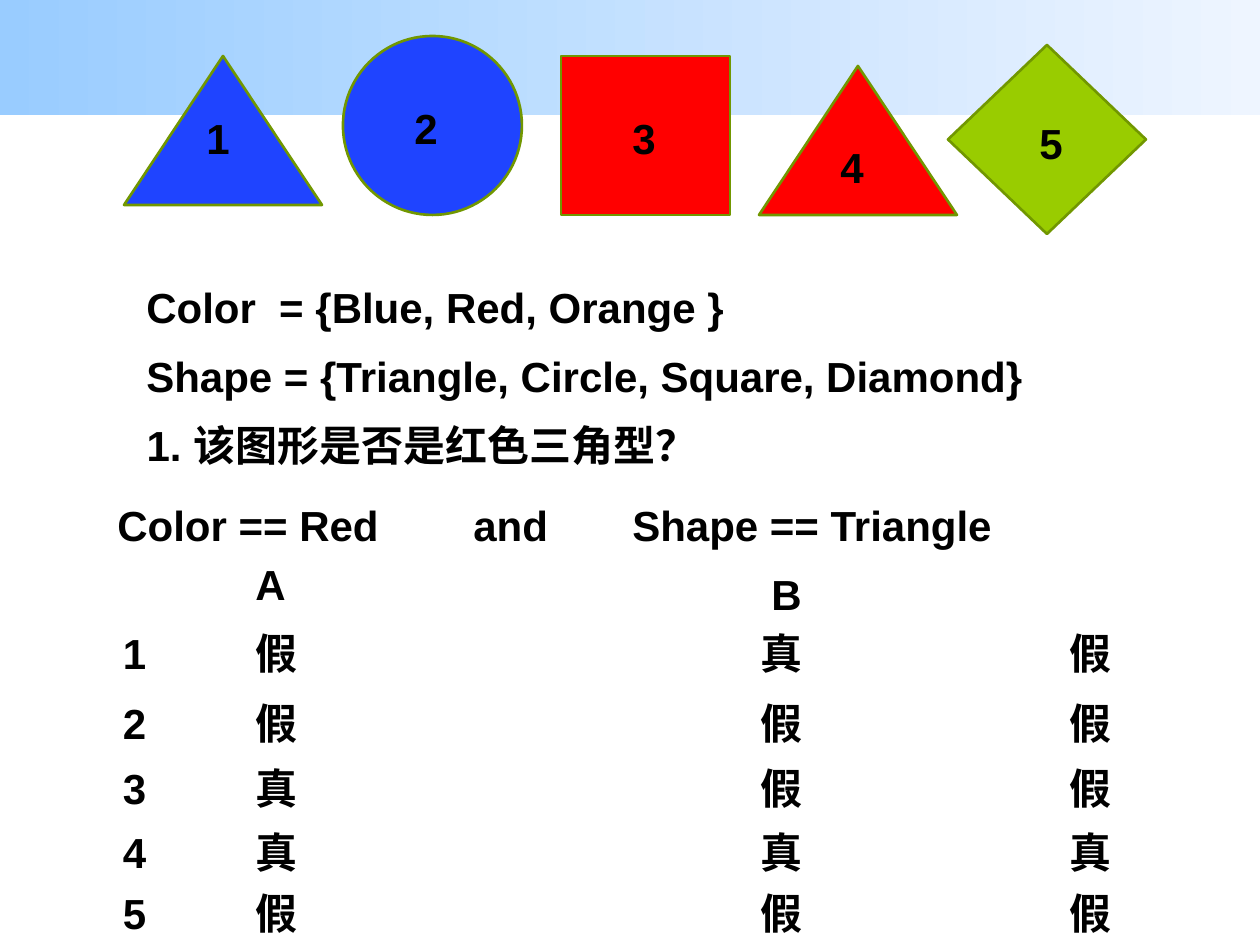
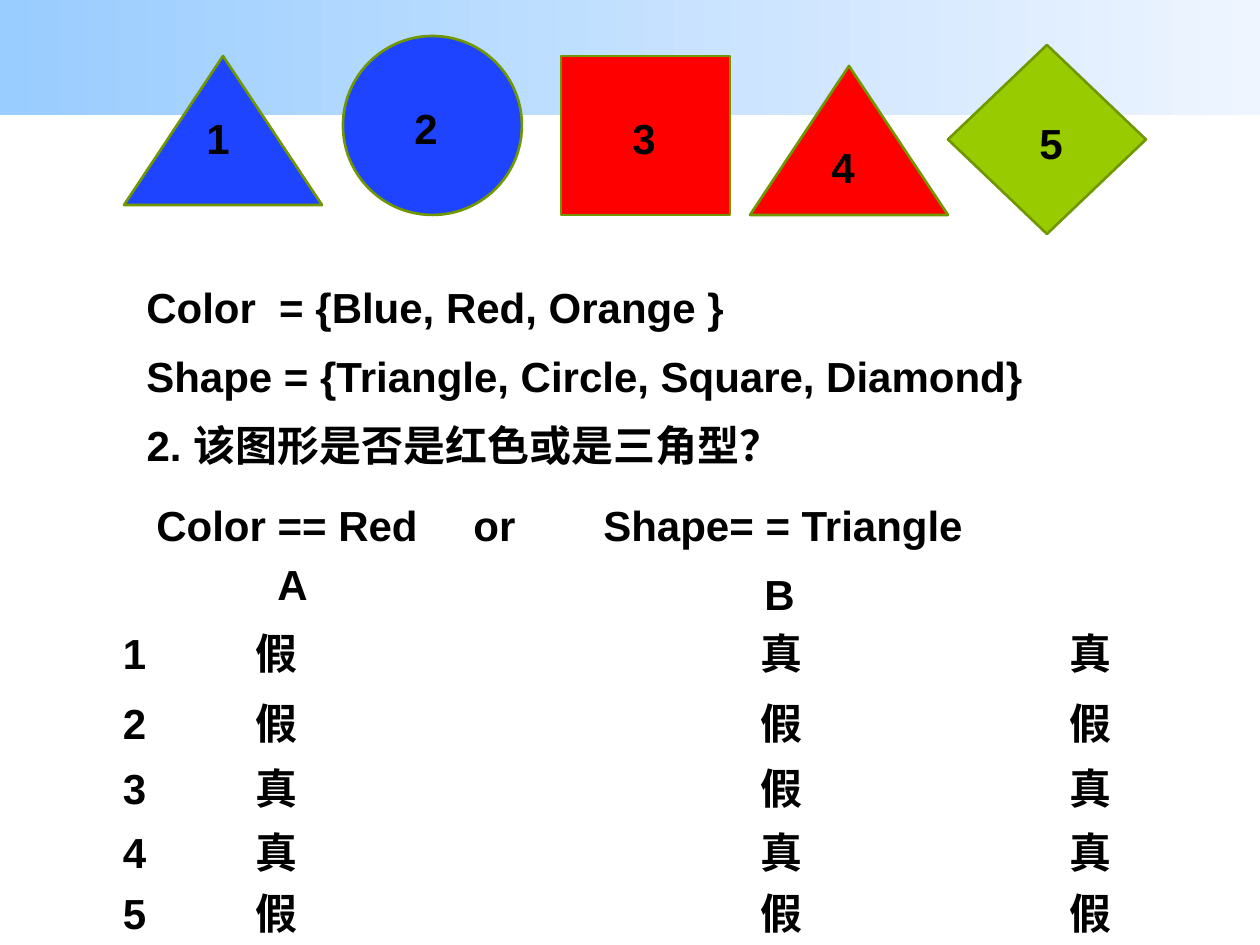
from collections.abc import Callable, Iterable
from dataclasses import dataclass
from typing import NamedTuple

from pptx import Presentation
from pptx.dml.color import RGBColor
from pptx.enum.lang import MSO_LANGUAGE_ID
from pptx.enum.shapes import MSO_SHAPE
from pptx.enum.text import MSO_ANCHOR, MSO_AUTO_SIZE, PP_ALIGN
from pptx.slide import Slide, SlideLayout
from pptx.text.text import TextFrame
from pptx.util import Emu, Pt

PX_PER_INCH = 126
TITLE_ONLY = 5


@dataclass(frozen=True)
class Theme:
    band_start: RGBColor = RGBColor(0x99, 0xCC, 0xFF)
    band_end: RGBColor = RGBColor(0xEE, 0xF5, 0xFF)
    blue: RGBColor = RGBColor(0x1F, 0x44, 0xFF)
    red: RGBColor = RGBColor(0xFF, 0x00, 0x00)
    green: RGBColor = RGBColor(0x99, 0xCC, 0x00)
    outline: RGBColor = RGBColor(0x71, 0x97, 0x00)
    text: RGBColor = RGBColor(0x00, 0x00, 0x00)
    font: str = "Arial"
    text_size: Pt = Pt(24)
    outline_width: Pt = Pt(1.5)


THEME = Theme()


class Box(NamedTuple):
    left: int
    top: int
    width: int
    height: int = 64

    def emu(self) -> list[Emu]:
        return [px(length) for length in self]


class Figure(NamedTuple):
    kind: MSO_SHAPE
    color: RGBColor
    box: Box
    label_dx: int
    label_dy: int


class Label(NamedTuple):
    text: str
    box: Box


@dataclass(frozen=True)
class Exercise:
    question: str
    red_triangle_left: int
    operator: Label
    conditions: list[tuple[Label, Label]]
    combine: Callable[[Iterable[bool]], bool]


FIGURES = [
    Figure(MSO_SHAPE.ISOSCELES_TRIANGLE, THEME.blue, Box(124, 56, 198, 149), 70, 50),
    Figure(MSO_SHAPE.OVAL, THEME.blue, Box(343, 36, 179, 179), 59, 60),
    Figure(MSO_SHAPE.RECTANGLE, THEME.red, Box(561, 56, 169, 159), 59, 50),
    Figure(MSO_SHAPE.ISOSCELES_TRIANGLE, THEME.red, Box(759, 66, 198, 149), 69, 69),
    Figure(MSO_SHAPE.DIAMOND, THEME.green, Box(948, 45, 198, 189), 79, 66),
]
DEFINITIONS = [
    Label("Color  = {Blue, Red, Orange }", Box(134, 275, 942)),
    Label("Shape = {Triangle, Circle, Square, Diamond}", Box(134, 344, 973)),
]
QUESTION_BOX = Box(134, 413, 655)
OPERATOR_BOX = Box(461, 493, 118)
ROW_TOPS = [621, 691, 756, 820, 881]
NUMBER_LEFT = 105
NUMBER_WIDTH = 59
VERDICT_LEFTS = [243, 748, 1057]
VERDICT_WIDTH = 79

EXERCISES = [
    Exercise(
        "1. 该图形是否是红色三角型？",
        759,
        Label("and", OPERATOR_BOX),
        [
            (Label("Color == Red", Box(105, 493, 318)), Label("A", Box(243, 552, 49))),
            (Label("Shape == Triangle", Box(620, 493, 466)), Label("B", Box(759, 562, 49))),
        ],
        all,
    ),
    Exercise(
        "2. 该图形是否是红色或是三角型？",
        750,
        Label("or", OPERATOR_BOX),
        [
            (Label("Color == Red", Box(144, 493, 338)), Label("A", Box(265, 552, 60))),
            (Label("Shape= = Triangle", Box(591, 493, 427)), Label("B", Box(752, 562, 58))),
        ],
        any,
    ),
]


def px(length: int) -> Emu:
    return Emu(round(length * 914400 / PX_PER_INCH))


def write(tf: TextFrame, text: str, align: PP_ALIGN = PP_ALIGN.LEFT) -> None:
    tf.word_wrap = True
    tf.auto_size = MSO_AUTO_SIZE.SHAPE_TO_FIT_TEXT
    tf.vertical_anchor = MSO_ANCHOR.TOP
    p = tf.paragraphs[0]
    p.text = text
    p.alignment = align
    p.font.name = THEME.font
    p.font.size = THEME.text_size
    p.font.bold = True
    p.font.color.rgb = THEME.text
    p.font.language_id = MSO_LANGUAGE_ID.SIMPLIFIED_CHINESE


def add_label(shapes, label: Label, align: PP_ALIGN = PP_ALIGN.LEFT) -> None:
    write(shapes.add_textbox(*label.box.emu()).text_frame, label.text, align)


def add_band(slide: Slide, layout: SlideLayout) -> None:
    """Draw the top band and hand it to the layout, behind everything else."""
    sp = slide.shapes.add_shape(MSO_SHAPE.RECTANGLE, *Box(0, 0, 1260, 115).emu())
    sp.shadow.inherit = False
    sp.line.fill.background()
    sp.fill.gradient()
    sp.fill.gradient_angle = 0
    for stop, color in zip(sp.fill.gradient_stops, (THEME.band_start, THEME.band_end)):
        stop.color.rgb = color
    layout.shapes.element.insert(2, sp.element)


def add_figure(shapes, number: int, figure: Figure) -> None:
    sp = shapes.add_shape(figure.kind, *figure.box.emu())
    sp.shadow.inherit = False
    sp.fill.solid()
    sp.fill.fore_color.rgb = figure.color
    sp.line.color.rgb = THEME.outline
    sp.line.width = THEME.outline_width
    left, top = figure.box.left + figure.label_dx, figure.box.top + figure.label_dy
    add_label(shapes, Label(str(number), Box(left, top, NUMBER_WIDTH)))


def add_figures(slide: Slide, red_triangle_left: int) -> None:
    shapes = slide.shapes.add_group_shape().shapes
    for number, figure in enumerate(FIGURES, 1):
        if is_red(figure) and is_triangle(figure):
            figure = figure._replace(box=figure.box._replace(left=red_triangle_left))
        add_figure(shapes, number, figure)


def is_red(figure: Figure) -> bool:
    return figure.color == THEME.red


def is_triangle(figure: Figure) -> bool:
    return figure.kind == MSO_SHAPE.ISOSCELES_TRIANGLE


def add_truth_rows(slide: Slide, combine: Callable[[Iterable[bool]], bool]) -> None:
    """Write each figure's number, its two conditions and their combination."""
    for number, (figure, top) in enumerate(zip(FIGURES, ROW_TOPS), 1):
        number_box = Box(NUMBER_LEFT, top, NUMBER_WIDTH)
        add_label(slide.shapes, Label(str(number), number_box), PP_ALIGN.CENTER)
        facts = [is_red(figure), is_triangle(figure)]
        for left, verdict in zip(VERDICT_LEFTS, [*facts, combine(facts)]):
            text = "真" if verdict else "假"
            add_label(slide.shapes, Label(text, Box(left, top, VERDICT_WIDTH)))


def add_question(slide: Slide, question: str) -> None:
    title = slide.shapes.title
    title.left, title.top, title.width, title.height = QUESTION_BOX.emu()
    write(title.text_frame, question)


def fill_slide(slide: Slide, exercise: Exercise) -> None:
    add_figures(slide, exercise.red_triangle_left)
    add_question(slide, exercise.question)
    for label in [*DEFINITIONS, exercise.operator]:
        add_label(slide.shapes, label)
    for condition in exercise.conditions:
        group = slide.shapes.add_group_shape()
        for label in condition:
            add_label(group.shapes, label)
    add_truth_rows(slide, exercise.combine)


def main() -> None:
    prs = Presentation()
    prs.slide_width, prs.slide_height = px(1260), px(945)
    layout = prs.slide_layouts[TITLE_ONLY]
    slides = [prs.slides.add_slide(layout) for _ in EXERCISES]
    add_band(slides[0], layout)
    for slide, exercise in zip(slides, EXERCISES):
        fill_slide(slide, exercise)
    prs.save("out.pptx")


if __name__ == "__main__":
    main()
